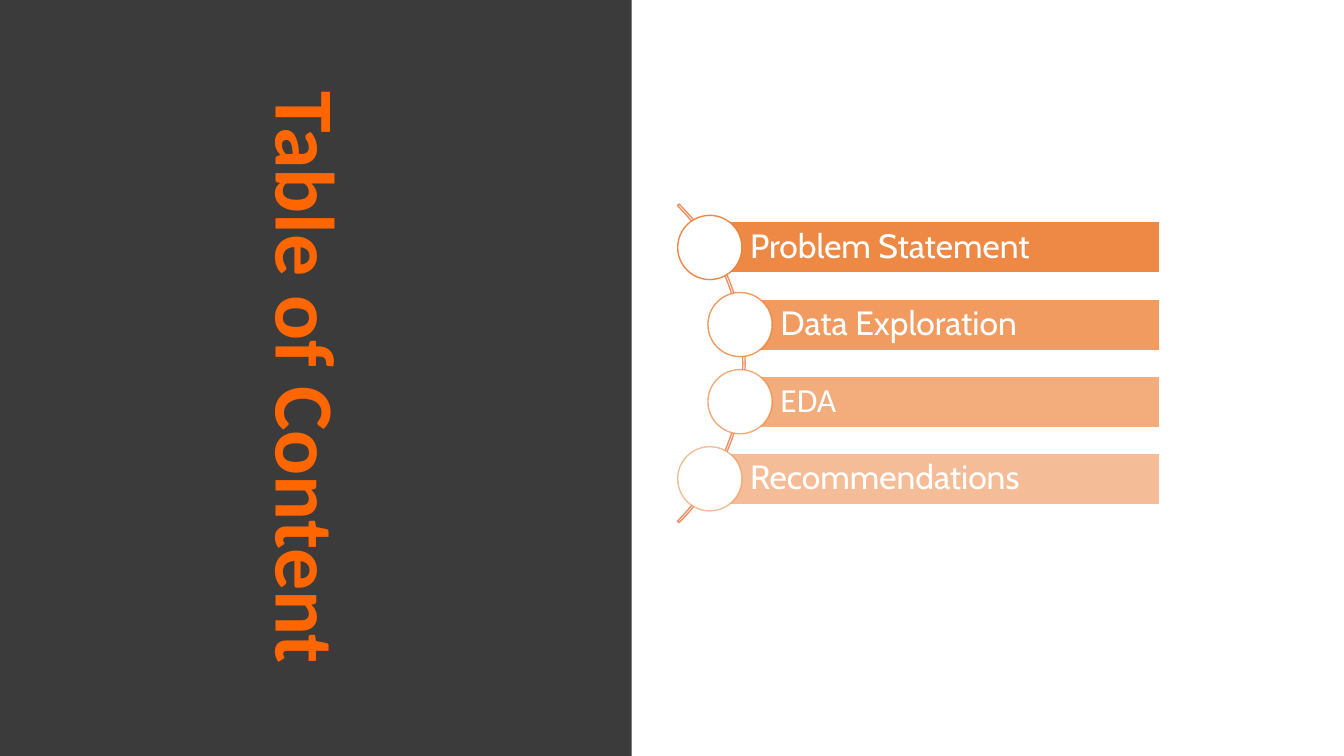
import pptx
import pptx.util
import pptx.dml.color
import pptx.enum.shapes
import pptx.enum.text
import pptx.oxml
import pptx.oxml.ns

COLORS = {"panel": "3B3B3B", "title": "FF6600", "accent": "ED7D31",
          "arc": "EF9166", "white": "FFFFFF"}
W, H = 13.33, 7.5
ROW = 0.51
PITCH = 1.5 * ROW
TOP = 2.2
RIGHT = 11.5
DOT = 1.25 * ROW
PANEL = 0.47 * W
ARC = 4.47

SHAPE = pptx.enum.shapes.MSO_SHAPE
ANCHOR = pptx.enum.text.MSO_ANCHOR
ALIGN = pptx.enum.text.PP_ALIGN
Inches = pptx.util.Inches


def paint(fill, color, opacity=100):
    fill.solid()
    fill.fore_color.rgb = pptx.dml.color.RGBColor.from_string(COLORS[color])
    if opacity < 100:
        clr = fill._xPr.find(".//" + pptx.oxml.ns.qn("a:srgbClr"))
        alpha = pptx.oxml.parse_xml(
            "<a:alpha %s val='%d'/>" % (pptx.oxml.ns.nsdecls("a"), round(opacity * 1000)))
        clr.append(alpha)


def add_outlined(kind, left, top, width, height, color, opacity=100):
    sp = s.shapes.add_shape(kind, Inches(left), Inches(top), Inches(width), Inches(height))
    sp.shadow.inherit = False
    paint(sp.line.fill, color, opacity)
    sp.line.width = pptx.util.Pt(1)
    return sp


prs = pptx.Presentation()
prs.slide_width, prs.slide_height = Inches(W), Inches(H)
s = prs.slides.add_slide(prs.slide_layouts[5])

title = s.shapes.title
title.left, title.top = Inches((PANEL - H) / 2), Inches((H - PANEL) / 2)
title.width, title.height = Inches(H), Inches(PANEL)
title.rotation = 90
paint(title.fill, "panel")
tf = title.text_frame
tf.text = "Table of Content"
tf.word_wrap = True
tf.auto_size = pptx.enum.text.MSO_AUTO_SIZE.NONE
tf.vertical_anchor = ANCHOR.MIDDLE
tf.margin_top = Inches(0.31)
p = tf.paragraphs[0]
p.alignment = ALIGN.CENTER
p.line_spacing = 0.9
r = p.runs[0]
r.font.name, r.font.size, r.font.bold = "Calibri", pptx.util.Pt(60), True
paint(r.font.fill, "title")

arc = add_outlined(SHAPE.BLOCK_ARC, 2.92, 1.37, ARC, ARC, "arc")
arc.fill.background()
for i, value in enumerate((189, 27, 0.005)):
    arc.adjustments[i] = value

items = [("Problem Statement", 7.04, "Cabin"), ("Data Exploration", 7.34, "Cabin"),
         ("EDA", 7.34, "Calibri"), ("Recommendations", 7.04, "Cabin")]
for i, (text, left, font) in enumerate(items):
    top = TOP + i * PITCH
    opacity = 90 - 40 * i / (len(items) - 1)

    bar = add_outlined(SHAPE.RECTANGLE, left, top, RIGHT - left, ROW, "white")
    paint(bar.fill, "accent", opacity)
    tf = bar.text_frame
    tf.text = text
    tf.word_wrap = True
    tf.vertical_anchor = ANCHOR.MIDDLE
    tf.margin_left = Inches(0.4)
    tf.margin_top = tf.margin_right = tf.margin_bottom = Inches(0.07)
    p = tf.paragraphs[0]
    p.alignment = ALIGN.LEFT
    p.line_spacing = 0.9
    r = p.runs[0]
    r.font.name, r.font.size = font, pptx.util.Pt(24)
    paint(r.font.fill, "white")

    dot = add_outlined(SHAPE.OVAL, left - DOT / 2, top + (ROW - DOT) / 2, DOT, DOT,
                       "accent", opacity)
    paint(dot.fill, "white")

prs.save("out.pptx")
